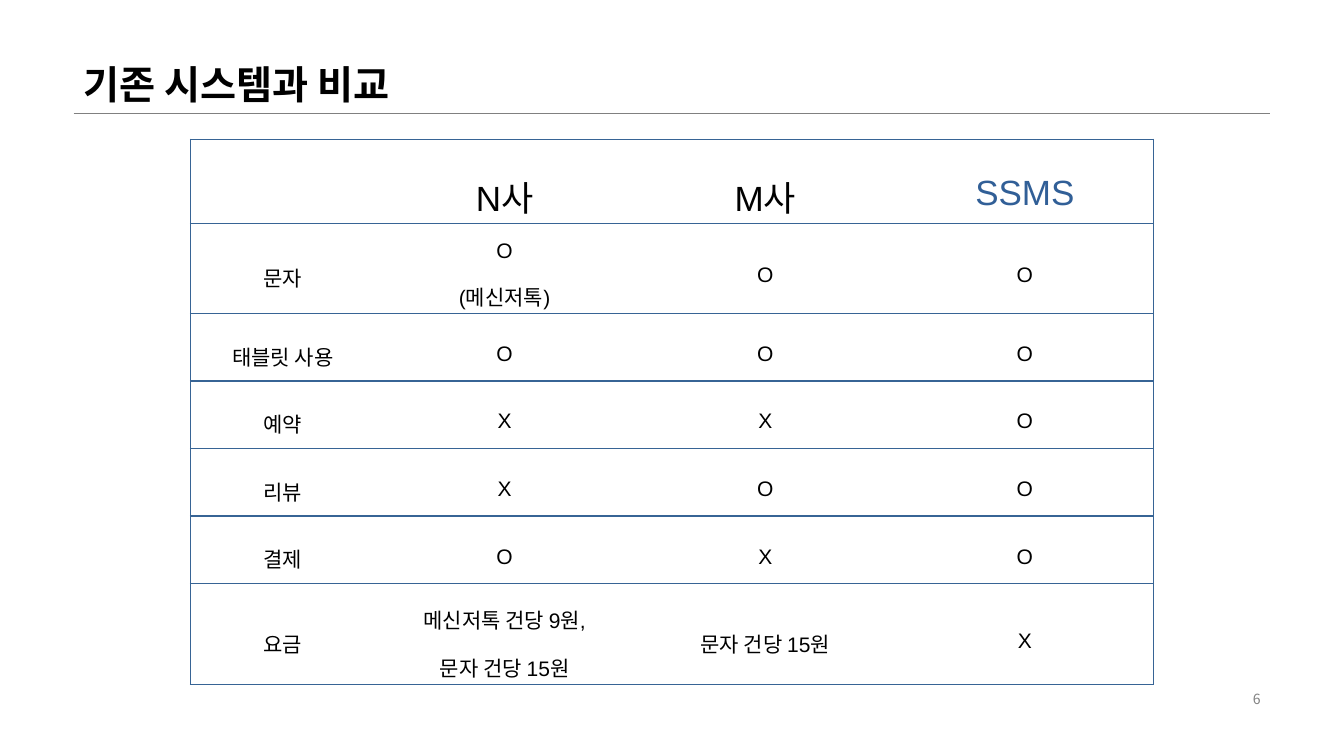
from dataclasses import dataclass

from lxml import etree
from pptx import Presentation
from pptx.dml.color import RGBColor
from pptx.enum.shapes import MSO_CONNECTOR
from pptx.enum.text import MSO_ANCHOR, MSO_AUTO_SIZE, PP_ALIGN
from pptx.oxml.ns import qn
from pptx.slide import Slide
from pptx.table import _Cell
from pptx.text.text import TextFrame
from pptx.util import Inches, Pt

STRAIGHT = MSO_CONNECTOR.STRAIGHT
MIDDLE, BOTTOM = MSO_ANCHOR.MIDDLE, MSO_ANCHOR.BOTTOM
LEFT, CENTER, RIGHT = PP_ALIGN.LEFT, PP_ALIGN.CENTER, PP_ALIGN.RIGHT
NO_AUTOFIT = MSO_AUTO_SIZE.NONE

BLACK = RGBColor(0x00, 0x00, 0x00)
WHITE = RGBColor(0xFF, 0xFF, 0xFF)
GRAY = RGBColor(0x80, 0x80, 0x80)
BORDER_BLUE = RGBColor(0x37, 0x64, 0x95)
OWN_SYSTEM_BLUE = RGBColor(0x31, 0x5F, 0x97)

KOREAN_FONT = "Noto Sans CJK KR"
TABLE_FONT = "Arial"

CONTENT_LEFT, CONTENT_RIGHT = 0.73, 12.6
RULE_TOP = 1.12
COLUMN_WIDTHS = (1.83, 2.57, 2.6, 2.55)
LAST_COLUMN = len(COLUMN_WIDTHS) - 1


@dataclass(frozen=True)
class TextStyle:
    size: float
    color: RGBColor = BLACK
    font: str = KOREAN_FONT
    alignment: PP_ALIGN = LEFT
    line_spacing: float = 1.0
    bold: bool = False


@dataclass(frozen=True)
class ComparisonRow:
    height: float
    texts: tuple[str, str, str, str]


TITLE_STYLE = TextStyle(28, line_spacing=0.9, bold=True)
NUMBER_STYLE = TextStyle(10, GRAY, alignment=RIGHT)
HEADER_STYLE = TextStyle(25, BLACK, TABLE_FONT, CENTER, 1.6)
OWN_SYSTEM_STYLE = TextStyle(25, OWN_SYSTEM_BLUE, TABLE_FONT, CENTER, 1.6)
BODY_STYLE = TextStyle(15, BLACK, TABLE_FONT, CENTER, 1.6)

COMPARISON_ROWS = (
    ComparisonRow(0.84, ("", "N사", "M사", "SSMS")),
    ComparisonRow(0.89, ("문자", "O\n(메신저톡)", "O", "O")),
    ComparisonRow(0.67, ("태블릿 사용", "O", "O", "O")),
    ComparisonRow(0.67, ("예약", "X", "X", "O")),
    ComparisonRow(0.67, ("리뷰", "X", "O", "O")),
    ComparisonRow(0.67, ("결제", "O", "X", "O")),
    ComparisonRow(1.0, ("요금", "메신저톡 건당 9원,\n문자 건당 15원", "문자 건당 15원", "X")),
)


def write_text(text_frame: TextFrame, text: str, style: TextStyle) -> None:
    text_frame.text = text
    for paragraph in text_frame.paragraphs:
        paragraph.alignment = style.alignment
        paragraph.line_spacing = style.line_spacing
        for run in paragraph.runs:
            run.font.size = Pt(style.size)
            run.font.bold = style.bold
            run.font.color.rgb = style.color
            run.font.name = style.font
            east_asian = etree.SubElement(run.font._element, qn("a:ea"))
            east_asian.set("typeface", KOREAN_FONT)


def add_title(slide: Slide, text: str) -> None:
    title = slide.shapes.title
    title.left, title.top = Inches(CONTENT_LEFT), Inches(0.22)
    title.width, title.height = Inches(CONTENT_RIGHT - CONTENT_LEFT), Inches(0.9)
    title.text_frame.auto_size = NO_AUTOFIT
    title.text_frame.vertical_anchor = BOTTOM
    write_text(title.text_frame, text, TITLE_STYLE)


def add_title_rule(slide: Slide) -> None:
    rule = slide.shapes.add_connector(
        STRAIGHT, Inches(CONTENT_LEFT), Inches(RULE_TOP), Inches(CONTENT_RIGHT), Inches(RULE_TOP)
    )
    rule.line.color.rgb = GRAY
    rule.line.width = Pt(0.25)
    etree.SubElement(rule._element.spPr, qn("a:effectLst"))


def add_slide_number(slide: Slide, number: str) -> None:
    box = slide.shapes.add_textbox(Inches(9.42), Inches(6.82), Inches(3.18), Inches(0.23))
    box.text_frame.word_wrap = True
    box.text_frame.vertical_anchor = MIDDLE
    write_text(box.text_frame, number, NUMBER_STYLE)


def set_borders(cell: _Cell, column_index: int) -> None:
    visible_sides = {
        "lnL": column_index == 0,
        "lnR": column_index == LAST_COLUMN,
        "lnT": True,
        "lnB": True,
    }
    properties = cell._tc.get_or_add_tcPr()
    for index, (side, visible) in enumerate(visible_sides.items()):
        border = etree.Element(qn(f"a:{side}"), w=str(Pt(1) if visible else 0))
        if visible:
            fill = etree.SubElement(border, qn("a:solidFill"))
            etree.SubElement(fill, qn("a:srgbClr"), val=str(BORDER_BLUE))
        else:
            etree.SubElement(border, qn("a:noFill"))
        properties.insert(index, border)


def cell_style(row_index: int, column_index: int) -> TextStyle:
    if row_index > 0:
        return BODY_STYLE
    return OWN_SYSTEM_STYLE if column_index == LAST_COLUMN else HEADER_STYLE


def format_cell(cell: _Cell, text: str, style: TextStyle) -> None:
    cell.fill.solid()
    cell.fill.fore_color.rgb = WHITE
    cell.vertical_anchor = MIDDLE
    cell.margin_left = cell.margin_right = Inches(0.07)
    cell.margin_top = cell.margin_bottom = Inches(0.02)
    write_text(cell.text_frame, text, style)


def add_comparison_table(slide: Slide) -> None:
    frame = slide.shapes.add_table(
        len(COMPARISON_ROWS), len(COLUMN_WIDTHS), Inches(1.89), Inches(1.38),
        Inches(sum(COLUMN_WIDTHS)), Inches(sum(row.height for row in COMPARISON_ROWS)),
    )
    table = frame.table
    table.first_row = table.horz_banding = False
    for column, width in zip(table.columns, COLUMN_WIDTHS):
        column.width = Inches(width)
    for row_index, row in enumerate(COMPARISON_ROWS):
        table.rows[row_index].height = Inches(row.height)
        for column_index, text in enumerate(row.texts):
            cell = table.cell(row_index, column_index)
            format_cell(cell, text, cell_style(row_index, column_index))
            set_borders(cell, column_index)


def main() -> None:
    presentation = Presentation()
    presentation.slide_width, presentation.slide_height = Inches(13.33), Inches(7.5)
    slide = presentation.slides.add_slide(presentation.slide_layouts.get_by_name("Title Only"))
    add_title_rule(slide)
    add_title(slide, "기존 시스템과 비교")
    add_slide_number(slide, "6")
    add_comparison_table(slide)
    presentation.save("out.pptx")


if __name__ == "__main__":
    main()
